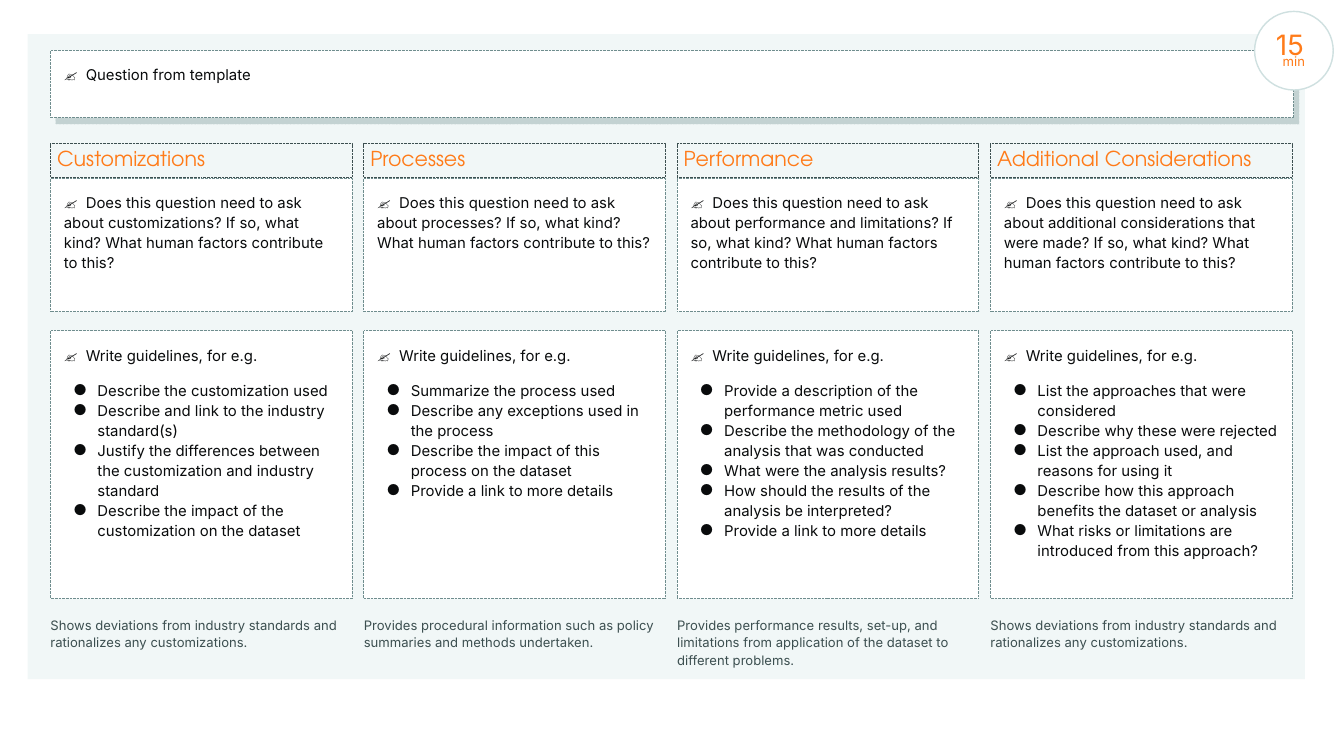
from lxml.etree import SubElement
from pptx import Presentation
from pptx.dml.color import RGBColor
from pptx.enum.dml import MSO_LINE
from pptx.enum.shapes import MSO_SHAPE as Preset
from pptx.enum.text import MSO_ANCHOR as Anchor, MSO_AUTO_SIZE as AutoSize, PP_ALIGN as Align
from pptx.oxml.ns import qn
from pptx.util import Inches, Pt

# Grid, in inches
SLIDE_WIDTH, SLIDE_HEIGHT = 20, 11
LEFT, PITCH, COLUMN_WIDTH = 0.75, 4.663, 4.49
QUESTION_ROW = (0.75, 1)
HEADING_ROW = (2.14, 0.5)
PROMPT_ROW = (2.65, 1.99)
GUIDELINE_ROW = (4.92, 3.99)
CAPTION_ROW = (9.16, 0.79)

# Palette and type
WHITE, PALE, RING = "FFFFFF", "F1F7F7", "CFE0E0"
INK, SLATE, TEAL, ORANGE = "090B0C", "3C4F50", "6F8D8E", "FF7B19"
BODY_FONT, HEADING_FONT = "Inter", "TeX Gyre Adventor"
LINE_SPACING = 1.12
PEN = "✍️"

DEVIATIONS = "Shows deviations from industry standards and rationalizes any customizations."
ASK = "Does this question need to ask about {}? If so, what kind? What human factors contribute to this?"

# Heading, subject of the prompt, guidelines, caption
COLUMNS = [
    ("Customizations", "customizations",
     ["Describe the customization used",
      "Describe and link to the industry standard(s)",
      "Justify the differences between the customization and industry standard",
      "Describe the impact of the customization on the dataset"],
     DEVIATIONS),
    ("Processes", "processes",
     ["Summarize the process used",
      "Describe any exceptions used in the process",
      "Describe the impact of this process on the dataset",
      "Provide a link to more details"],
     "Provides procedural information such as policy summaries and methods undertaken."),
    ("Performance", "performance and limitations",
     ["Provide a description of the performance metric used",
      "Describe the methodology of the analysis that was conducted",
      "What were the analysis results?",
      "How should the results of the analysis be interpreted?",
      "Provide a link to more details"],
     "Provides performance results, set-up, and limitations from application "
     "of the dataset to different problems."),
    ("Additional Considerations", "additional considerations that were made",
     ["List the approaches that were considered",
      "Describe why these were rejected",
      "List the approach used, and reasons for using it",
      "Describe how this approach benefits the dataset or analysis",
      "What risks or limitations are introduced from this approach?"],
     DEVIATIONS),
]


def color(value):
    return RGBColor.from_string(value)


def cell(column, row):
    """Left, top, width and height of a grid cell."""
    top, height = row
    return LEFT + column * PITCH, top, COLUMN_WIDTH, height


def place(box, area):
    box.left, box.top, box.width, box.height = map(Inches, area)


def style(box, fill=None, line=None, width=0.75, dash=MSO_LINE.ROUND_DOT):
    box.shadow.inherit = False
    if fill:
        box.fill.solid()
        box.fill.fore_color.rgb = color(fill)
    else:
        box.fill.background()
    if line:
        box.line.color.rgb = color(line)
        box.line.width = Pt(width)
        box.line.dash_style = dash
    else:
        box.line.fill.background()


def add_box(page, area, preset=Preset.RECTANGLE, **look):
    box = page.shapes.add_shape(preset, *map(Inches, area))
    style(box, **look)
    return box


def set_frame(box, inset, anchor=Anchor.TOP):
    frame = box.text_frame
    frame.word_wrap = True
    frame.auto_size = AutoSize.NONE
    frame.vertical_anchor = anchor
    frame.margin_left = frame.margin_right = Inches(inset)
    frame.margin_top = frame.margin_bottom = Inches(inset)
    return frame


def set_para(para, spacing=LINE_SPACING, before=0, align=Align.LEFT, bullet=False):
    properties = para._p.get_or_add_pPr()
    properties.set("marL", str(Inches(0.5 if bullet else 0)))
    properties.set("indent", str(Inches(-0.36 if bullet else 0)))
    if bullet:
        tint = SubElement(properties, qn("a:buClr"))
        SubElement(tint, qn("a:srgbClr"), val=INK)
        SubElement(properties, qn("a:buFont"), typeface=BODY_FONT)
        SubElement(properties, qn("a:buChar"), char="●")
    else:
        SubElement(properties, qn("a:buNone"))
    para.alignment = align
    para.line_spacing = spacing
    para.space_before, para.space_after = Pt(before), Pt(0)
    return para


def add_span(para, text, size=16, tint=INK, font=BODY_FONT):
    span = para.add_run()
    span.text = text
    span.font.name, span.font.size, span.font.bold = font, Pt(size), False
    span.font.color.rgb = color(tint)
    return span


def write_prompt(box, text):
    """Fill a box with a pen sign, a widened space and the text."""
    frame = set_frame(box, 0.2)
    para = set_para(frame.paragraphs[0])
    add_span(para, PEN)
    gap = add_span(para, " ")
    gap._r.get_or_add_rPr().set("spc", "450")
    add_span(para, text)
    return frame


def add_question(box):
    place(box, (LEFT, QUESTION_ROW[0], 18.5, QUESTION_ROW[1]))
    style(box, WHITE, TEAL)
    effects = box.element.spPr.find(qn("a:effectLst"))
    shadow = SubElement(effects, qn("a:outerShdw"), blurRad="0", dist=str(Pt(9)),
                        dir=str(50 * 60000), algn="bl", rotWithShape="0")
    tint = SubElement(shadow, qn("a:srgbClr"), val=TEAL)
    SubElement(tint, qn("a:alpha"), val="34000")
    write_prompt(box, "Question from template")


def add_heading(page, column, text):
    box = add_box(page, cell(column, HEADING_ROW), line=SLATE)
    para = set_para(set_frame(box, 0.1, Anchor.BOTTOM).paragraphs[0], spacing=1)
    add_span(para, text, 22, ORANGE, HEADING_FONT)


def add_guidelines(box, column, items):
    place(box, cell(column, GUIDELINE_ROW))
    style(box, WHITE, TEAL)
    frame = write_prompt(box, "Write guidelines, for e.g.")
    for index, item in enumerate(items):
        para = set_para(frame.add_paragraph(), before=0 if index else 16, bullet=True)
        add_span(para, item)


def add_caption(page, column, text):
    box = page.shapes.add_textbox(*map(Inches, cell(column, CAPTION_ROW)))
    add_span(set_para(set_frame(box, 0).paragraphs[0]), text, 14, SLATE)


def add_timer(page):
    box = add_box(page, (18.67, 0.17, 1.17, 1.17), Preset.OVAL,
                  fill=WHITE, line=RING, width=1.5, dash=MSO_LINE.SOLID)
    frame = set_frame(box, 0.1, Anchor.MIDDLE)
    frame.margin_top = Inches(0.2)
    for para, text, size in ((frame.paragraphs[0], "15 ", 30),
                             (frame.add_paragraph(), "min", 14)):
        add_span(set_para(para, spacing=0.6, align=Align.CENTER), text, size, ORANGE)


def main():
    deck = Presentation()
    deck.slide_width, deck.slide_height = Inches(SLIDE_WIDTH), Inches(SLIDE_HEIGHT)
    # The Comparison layout has a title and four body placeholders
    page = deck.slides.add_slide(deck.slide_layouts[4])
    title, *bodies = page.placeholders

    # Panel behind everything
    panel = add_box(page, (0.41, 0.51, 19.01, 9.6), fill=PALE)
    title.element.addprevious(panel.element)

    # Question and columns
    add_question(title)
    for column, (heading, subject, items, caption) in enumerate(COLUMNS):
        add_heading(page, column, heading)
        prompt = add_box(page, cell(column, PROMPT_ROW), fill=WHITE, line=TEAL)
        write_prompt(prompt, ASK.format(subject))
        add_guidelines(bodies[column], column, items)
        add_caption(page, column, caption)

    # Timer badge
    add_timer(page)
    deck.save("out.pptx")


if __name__ == "__main__":
    main()
